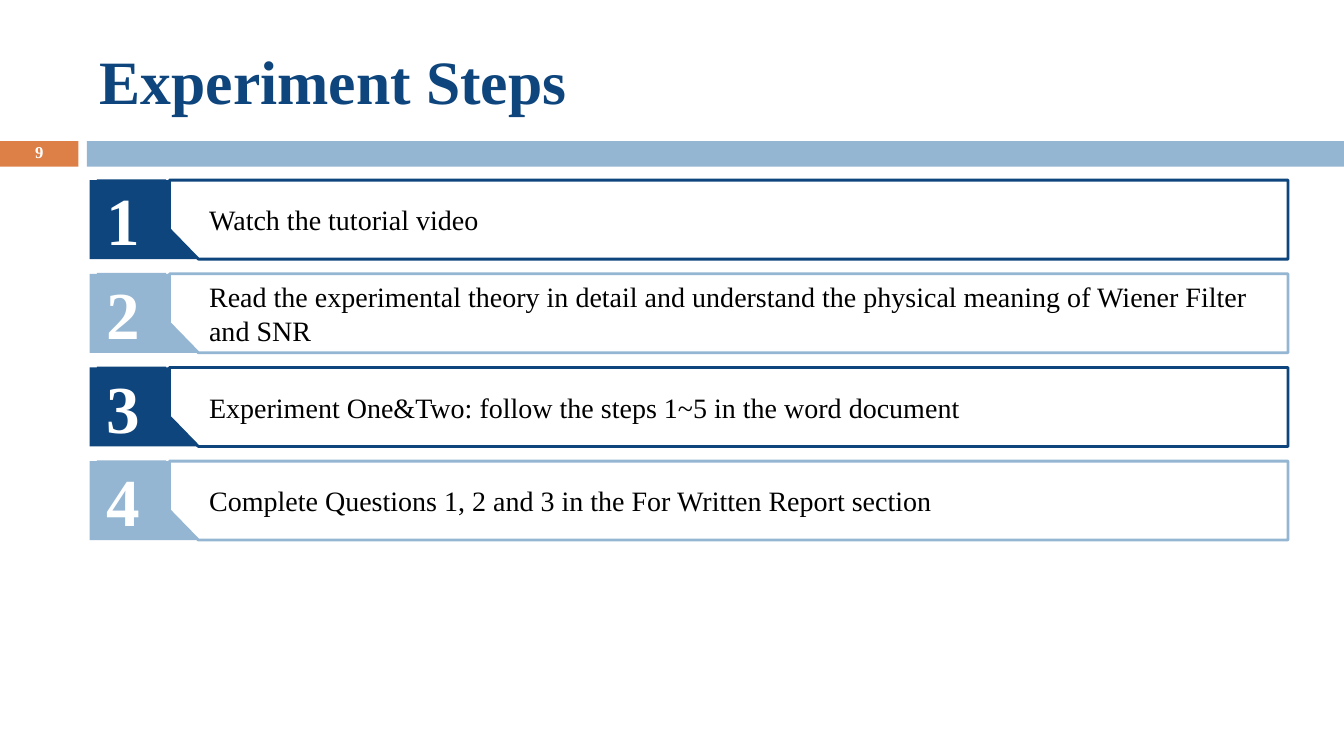
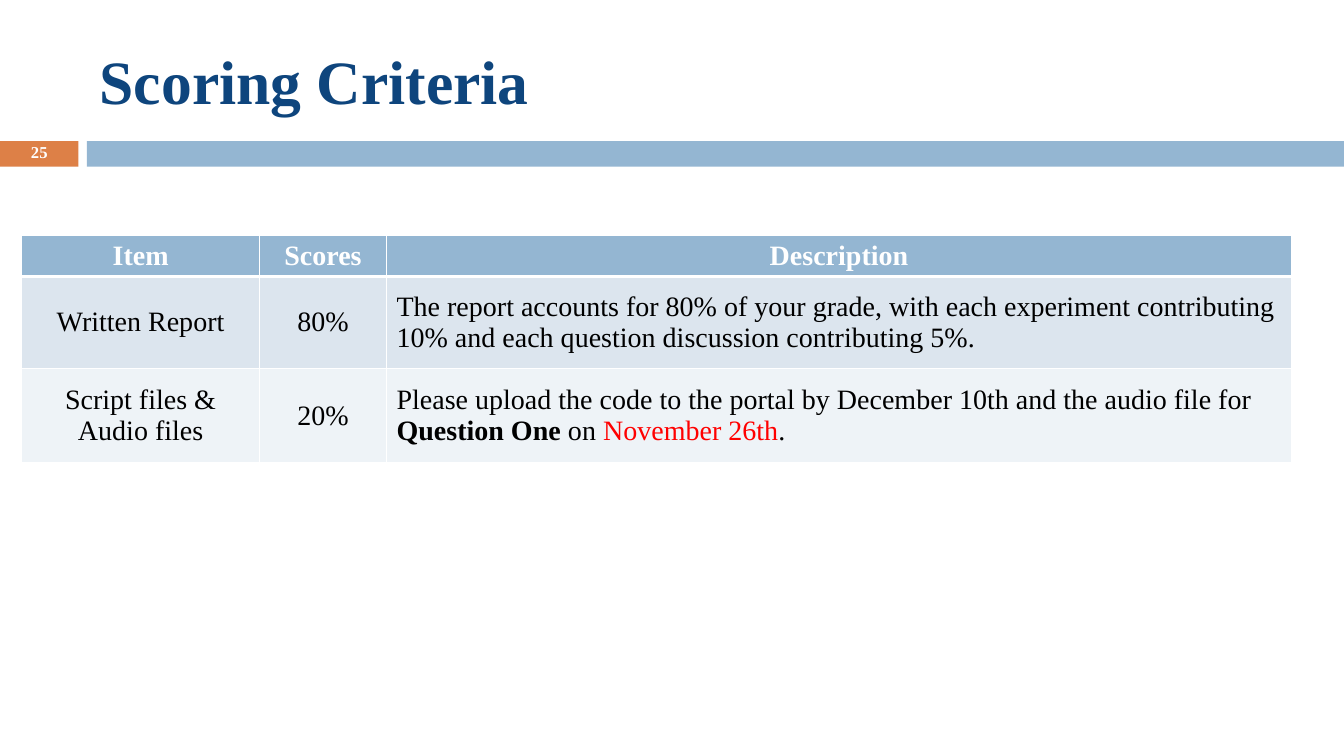
import pptx
import pptx.util
import pptx.dml.color
import pptx.enum.shapes
import pptx.enum.text
import pptx.oxml
import pptx.oxml.ns

Cm = pptx.util.Cm
Pt = pptx.util.Pt
RGBColor = pptx.dml.color.RGBColor
ALIGN = pptx.enum.text.PP_ALIGN
ANCHOR = pptx.enum.text.MSO_ANCHOR
RECT = pptx.enum.shapes.MSO_SHAPE.RECTANGLE

NAVY = RGBColor(0x0E, 0x45, 0x7D)
BLUE = RGBColor(0x94, 0xB6, 0xD2)
ORANGE = RGBColor(0xDD, 0x80, 0x47)
PALE = RGBColor(0xDC, 0xE5, 0xEE)
MIST = RGBColor(0xEE, 0xF3, 0xF7)
WHITE = RGBColor(0xFF, 0xFF, 0xFF)
BLACK = RGBColor(0, 0, 0)
RED = RGBColor(0xFF, 0, 0)
FONT = "Times New Roman"

WIDTH, HEIGHT = 33.87, 19.05
LEFT = 2.26
STEPS = [
    "Watch the tutorial video",
    "Read the experimental theory in detail and understand the "
    "physical meaning of Wiener Filter and SNR",
    "Experiment One&Two: follow the steps 1~5 in the word document",
    "Complete Questions 1, 2 and 3 in the For Written Report section",
]
# Each cell is a list of runs: text, then colour and bold where they differ.
SCORES = [
    [[("Item",)], [("Scores",)], [("Description",)]],
    [[("Written Report",)], [("80%",)],
     [("The report accounts for 80% of your grade, with each experiment "
       "contributing 10% and each question discussion contributing 5%.",)]],
    [[("Script files & Audio files",)], [("20%",)],
     [("Please upload the code to the portal by December 10th and the "
       "audio file for ",),
      ("Question One", BLACK, True), (" on ",),
      ("November 26th", RED), (".",)]],
]


def add_run(para, text, size, color, bold=False):
    run = para.add_run()
    run.text = text
    font = run.font
    font.name, font.size, font.bold = FONT, Pt(size), bold
    font.color.rgb = color


def paint(shape, fill, line=None):
    """Give a plain fill, and a 2 pt outline if a line colour is set."""
    shape.shadow.inherit = False
    shape.fill.solid()
    shape.fill.fore_color.rgb = fill
    if line is None:
        shape.line.fill.background()
    else:
        shape.line.color.rgb = line
        shape.line.width = Pt(2)


def set_text(shape, text, size, color, bold=False, align=ALIGN.LEFT):
    frame = shape.text_frame
    frame.word_wrap = True
    frame.vertical_anchor = ANCHOR.MIDDLE
    para = frame.paragraphs[0]
    para.alignment = align
    add_run(para, text, size, color, bold)
    return frame


def add_rect(shapes, left, top, width, height, fill):
    rect = shapes.add_shape(RECT, Cm(left), Cm(top), Cm(width), Cm(height))
    paint(rect, fill)
    return rect


def add_outline(shapes, points, fill, line=None):
    """Draw a closed outline through points given in centimetres."""
    first, *rest = [(Cm(x), Cm(y)) for x, y in points]
    pen = shapes.build_freeform(*first)
    pen.add_line_segments(rest, close=True)
    shape = pen.convert_to_shape()
    paint(shape, fill, line)
    return shape


def add_slide(deck, title, number):
    """Start a slide with the shared title, bands and page number."""
    slide = deck.slides.add_slide(deck.slide_layouts[5])
    head = slide.shapes.title
    head.left, head.top = Cm(LEFT), Cm(0.64)
    head.width, head.height = Cm(30.2), Cm(2.74)
    set_text(head, title, 44, NAVY, True)
    add_rect(slide.shapes, 2.19, 3.56, WIDTH - 2.19, 0.64, BLUE)
    tab = add_rect(slide.shapes, 0, 3.56, 1.98, 0.64, ORANGE)
    frame = set_text(tab, str(number), 11.9, WHITE, True, ALIGN.CENTER)
    frame.margin_top = frame.margin_bottom = 0
    frame.paragraphs[0].line_spacing = 0.8
    return slide


def add_step(slide, index, text):
    """Draw one numbered step: a framed text and a folded number tab."""
    color = (NAVY, BLUE)[index % 2]
    top = 4.54 + 2.36 * index
    fold, base = top + 1.24, top + 1.99
    edge, foot, right = LEFT + 2.01, LEFT + 2.74, LEFT + 30.2
    shapes = slide.shapes.add_group_shape().shapes
    card = add_outline(shapes, [(edge, top), (right, top), (right, base),
                                (foot, base), (edge, fold)], WHITE, color)
    frame = set_text(card, text, 20, BLACK)
    frame.margin_left = Cm(1)
    add_outline(shapes, [(LEFT, top), (edge, top), (edge, fold),
                         (foot, base), (LEFT, base)], color)
    badge = add_rect(shapes, LEFT + 0.18, top - 0.02, 1.75, 1.99, color)
    set_text(badge, str(index + 1), 48, WHITE, True)


def add_border(cell, side, width):
    line = pptx.oxml.parse_xml(
        f'<a:ln{side} {pptx.oxml.ns.nsdecls("a")} w="{Pt(width)}">'
        f'<a:solidFill><a:srgbClr val="{WHITE}"/></a:solidFill></a:ln{side}>')
    cell._tc.get_or_add_tcPr().append(line)


def fill_cell(cell, runs, row, col):
    header = row == 0
    for side in "LRTB":
        thick = (row, side) in [(0, "B"), (1, "T")]
        add_border(cell, side, 3 if thick else 1)
    cell.fill.solid()
    cell.fill.fore_color.rgb = (BLUE, PALE, MIST)[row]
    cell.vertical_anchor = ANCHOR.TOP if header else ANCHOR.MIDDLE
    para = cell.text_frame.paragraphs[0]
    para.alignment = ALIGN.CENTER if header or col < 2 else ALIGN.LEFT
    for text, *style in runs:
        look = style or [WHITE if header else BLACK, header]
        add_run(para, text, 20, *look)


def add_scores(slide):
    widths, heights = [5.99, 3.2, 22.81], [1.03, 2.31, 2.39]
    table = slide.shapes.add_table(
        len(heights), len(widths), Cm(0.55), Cm(5.93),
        Cm(sum(widths)), Cm(sum(heights))).table
    table.first_row = table.horz_banding = False
    for column, width in zip(table.columns, widths):
        column.width = Cm(width)
    for row, height in enumerate(heights):
        table.rows[row].height = Cm(height)
        for col, runs in enumerate(SCORES[row]):
            fill_cell(table.cell(row, col), runs, row, col)


def main():
    deck = pptx.Presentation()
    deck.slide_width, deck.slide_height = Cm(WIDTH), Cm(HEIGHT)
    slide = add_slide(deck, "Experiment Steps", 9)
    for index, text in enumerate(STEPS):
        add_step(slide, index, text)
    add_scores(add_slide(deck, "Scoring Criteria", 25))
    deck.save("out.pptx")


if __name__ == "__main__":
    main()
